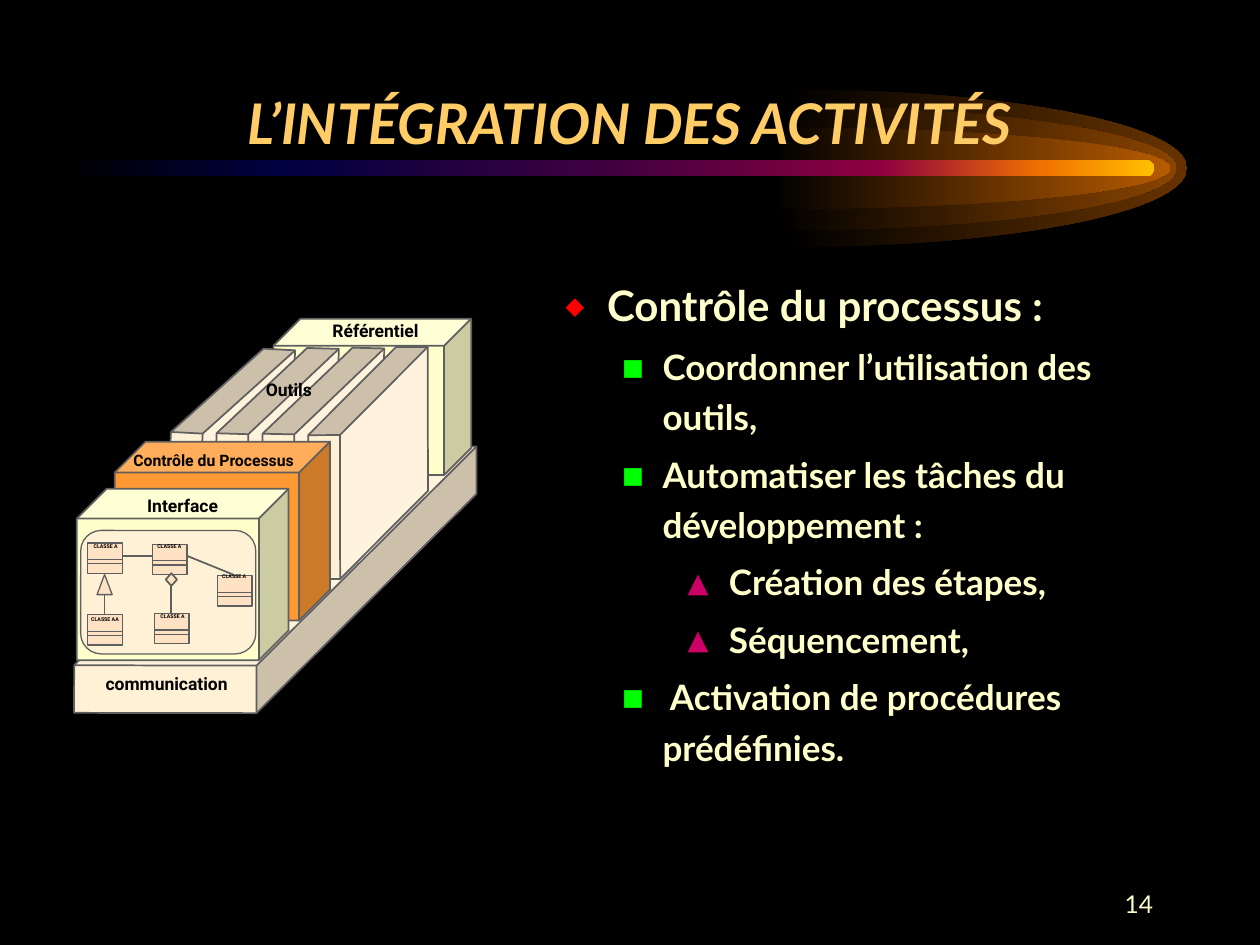
from lxml import etree
from pptx import Presentation
from pptx.dml.color import RGBColor
from pptx.enum import shapes, text
from pptx.oxml import ns
from pptx.util import Emu, Inches, Pt

COLUMNS, ROWS = 100, 75
GREY, CREAM, YELLOW, PEACH = "5F5F5F", "FFF1D5", "FFFFCC", "FFE1C3"
KINDS = shapes.MSO_SHAPE

presentation = Presentation()
presentation.slide_width = Inches(10)
presentation.slide_height = Inches(7.5)
CELL_WIDTH = presentation.slide_width / COLUMNS
CELL_HEIGHT = presentation.slide_height / ROWS
slide = presentation.slides.add_slide(presentation.slide_layouts[6])


def color(value):
    return RGBColor.from_string(value)


def point(x, y):
    return Emu(round(x * CELL_WIDTH)), Emu(round(y * CELL_HEIGHT))


def inside(box, x, y, width, height):
    return box[0] + x, box[1] + y, width, height


def frame(box):
    return *point(*box[:2]), *point(*box[2:])


def add_gradient(shape, stops):
    shape.shadow.inherit = False
    shape.line.fill.background()
    shape.fill.gradient()
    shape.fill.gradient_angle = 0
    stop_list = shape._element.spPr.find(".//" + ns.qn("a:gsLst"))
    for stop in list(stop_list):
        stop_list.remove(stop)
    for position, value in stops:
        stop = etree.SubElement(stop_list, ns.qn("a:gs"), pos=str(position * 1000))
        etree.SubElement(stop, ns.qn("a:srgbClr"), val=value)


def add_shape(kind, box, fill, weight=1.0, adjustment=None, rotation=0, flip=False):
    shape = slide.shapes.add_shape(kind, *frame(box))
    shape.shadow.inherit = False
    shape.fill.solid()
    shape.fill.fore_color.rgb = color(fill)
    shape.line.color.rgb = color(GREY)
    shape.line.width = Pt(weight)
    shape.rotation = rotation
    if adjustment is not None:
        shape.adjustments[0] = adjustment
    if flip:
        shape._element.spPr.find(ns.qn("a:xfrm")).set("flipV", "1")
    return shape


def add_line(box, start, end, weight=0.75):
    first = point(box[0] + start[0], box[1] + start[1])
    last = point(box[0] + end[0], box[1] + end[1])
    line = slide.shapes.add_connector(shapes.MSO_CONNECTOR.STRAIGHT, *first, *last)
    line.line.color.rgb = color(GREY)
    line.line.width = Pt(weight)
    etree.SubElement(line._element.spPr, ns.qn("a:effectLst"))


def write(paragraph, words, size=10, font="Roboto", fill="000000", bold=True,
          italic=False, align=text.PP_ALIGN.LEFT, spacing=1.0):
    paragraph.alignment = align
    paragraph.line_spacing = spacing
    run = paragraph.add_run()
    run.text = words
    run.font.name, run.font.size = font, Pt(size)
    run.font.bold, run.font.italic = bold, italic
    run.font.color.rgb = color(fill)


def add_text(box, words=None, wrap=True, margins=True,
             anchor=text.MSO_ANCHOR.TOP, **style):
    text_frame = slide.shapes.add_textbox(*frame(box)).text_frame
    text_frame.word_wrap = wrap
    text_frame.vertical_anchor = anchor
    if not wrap:
        text_frame.auto_size = text.MSO_AUTO_SIZE.SHAPE_TO_FIT_TEXT
    if not margins:
        text_frame.margin_left = text_frame.margin_right = 0
        text_frame.margin_top = text_frame.margin_bottom = 0
    if words:
        write(text_frame.paragraphs[0], words, **style)
    return text_frame


def add_bullet(paragraph, mark, fill, share, margin, hanging):
    properties = paragraph._p.get_or_add_pPr()
    properties.set("marL", str(Inches(margin)))
    properties.set("indent", str(-Inches(hanging)))
    bullet_color = etree.SubElement(properties, ns.qn("a:buClr"))
    etree.SubElement(bullet_color, ns.qn("a:srgbClr"), val=fill)
    etree.SubElement(properties, ns.qn("a:buSzPct"), val=str(share * 1000))
    etree.SubElement(properties, ns.qn("a:buFont"), typeface="Lato")
    etree.SubElement(properties, ns.qn("a:buChar"), char=mark)


def add_half_ellipse(box, edge):
    left, top, width, height = box
    shares = ((0, 0), (0.55, 0), (1, 0.22), (1, 0.5),
              (1, 0.78), (0.55, 1), (0, 1))
    corners = [point(left + x * width, top + y * height) for x, y in shares]
    builder = slide.shapes.build_freeform(*corners[0])
    builder.add_line_segments(corners[1:], close=True)
    shape = builder.convert_to_shape()
    outline = shape._element.spPr.find(".//" + ns.qn("a:path"))
    segments = outline.findall(ns.qn("a:lnTo"))
    for start in (0, 3):
        curve = etree.Element(ns.qn("a:cubicBezTo"))
        segments[start].addprevious(curve)
        for segment in segments[start:start + 3]:
            curve.append(segment[0])
            outline.remove(segment)
    add_gradient(shape, [(0, "000000"), (100, edge)])


def draw_comet(box):
    for x, y, height, edge in ((57.4, 0, 12.5, "663300"),
                               (56.6, 1.3, 9.9, "894400"),
                               (56.1, 3, 6.5, "B75B00")):
        add_half_ellipse(inside(box, x, y, 31.8, height), edge)
    bar = slide.shapes.add_shape(KINDS.ROUNDED_RECTANGLE,
                                 *frame(inside(box, 0, 5.6, 86.6, 1.3)))
    bar.adjustments[0] = 0.5
    add_gradient(bar, [(0, "000000"), (20, "000040"), (50, "400040"),
                       (75, "8F0040"), (90, "F27300"), (100, "FFBF00")])


def draw_points(box):
    levels = (("◆", "FF0000", 58, 0.38, 0.33),
              ("■", "00FF00", 66, 0.82, 0.32),
              ("▲", "CC0066", 78, 1.28, 0.26))
    points = ((0, "Contrôle du processus : "),
              (1, "Coordonner l’utilisation des outils,"),
              (1, "Automatiser les tâches du développement :"),
              (2, " Création des étapes,"),
              (2, " Séquencement,"),
              (1, " Activation de procédures prédéfinies."))
    text_frame = add_text(box)
    for index, (level, words) in enumerate(points):
        paragraph = text_frame.add_paragraph() if index else text_frame.paragraphs[0]
        size = 20 if level else 24
        write(paragraph, words, size=size, font="Lato", fill=YELLOW, spacing=1.2)
        paragraph.space_before = Pt(size * 0.2)
        paragraph.level = level
        add_bullet(paragraph, *levels[level])


def draw_class(box, name, label_left, label_top):
    add_shape(KINDS.RECTANGLE, box, PEACH, 0.75)
    for y in (1.3, 1.65):
        add_line(box, (0, y), (box[2], y))
    add_text(inside(box, label_left, label_top, 4.2, 1.5), name, wrap=False, size=3)


def draw_class_diagram(box):
    add_shape(KINDS.ROUNDED_RECTANGLE, box, CREAM, 0.75, 0.167)
    for start, end, weight in (((1.9, 5), (1.9, 6.8), 0.75), ((5.7, 2), (3.2, 2), 1),
                               ((7.2, 6.6), (7.2, 3.5), 1), ((8.4, 2), (12.1, 3.5), 1)):
        add_line(box, start, end, weight)
    for x, y, name, label_left, label_top in (
            (0.55, 1, "CLASSE A ", -0.5, -0.45),
            (0.55, 6.7, "CLASSE AA ", -0.7, -0.35),
            (5.7, 1.1, "CLASSE A ", -0.6, -0.6),
            (5.85, 6.6, "CLASSE A ", -0.5, -0.55),
            (10.85, 3.6, "CLASSE A ", -0.6, -0.7)):
        draw_class(inside(box, x, y, 2.75, 2.4), name, label_left, label_top)
    add_shape(KINDS.ISOSCELES_TRIANGLE, inside(box, 1.3, 3.5, 1.2, 1.6), PEACH, 0.75)
    add_shape(KINDS.DIAMOND, inside(box, 6.75, 3.4, 0.9, 1), PEACH)


def draw_architecture(box):
    add_shape(KINDS.CUBE, inside(box, 0, 10.5, 31.9, 21.2), CREAM,
              adjustment=0.822, rotation=0.1)
    add_shape(KINDS.CUBE, inside(box, 15.8, 0.4, 15.7, 12.4), YELLOW, adjustment=0.173)
    for index, rotation in enumerate((273, 271.7, 271.3, 269.9)):
        add_shape(KINDS.CUBE, inside(box, 3.1 + 3.67 * index, 7.1, 18.4, 9.5), CREAM,
                  adjustment=0.735, rotation=rotation, flip=True)
    for x, y, width, height, fill in ((3.2, 10.15, 17.1, 14.2, "FF9933"),
                                      (0.2, 13.9, 16.8, 13.6, YELLOW)):
        add_shape(KINDS.CUBE, inside(box, x, y, width, height), fill, adjustment=0.173)
    for words, x, y, width, height, size in (
            ("Référentiel", 19.5, 0, 9.1, 2.7, 10),
            ("Interface", 4.8, 13.9, 7.7, 2.7, 10),
            ("Contrôle du Processus", 3.7, 10.35, 15.7, 2.5, 9),
            ("Outils", 15.2, 5.2, 3.9, 1.7, 10),
            ("communication", 1.5, 28, 12.2, 2.7, 10)):
        add_text(inside(box, x, y, width, height), words, wrap=False,
                 margins=words != "Outils", size=size)
    draw_class_diagram(inside(box, 0.5, 17.2, 13.9, 9.8))


slide.background.fill.solid()
slide.background.fill.fore_color.rgb = color("000000")
draw_comet((5, 7.1, 89.2, 12.5))
add_text((71.7, 69.2, 20.8, 5), "14", anchor=text.MSO_ANCHOR.MIDDLE, size=14,
         font="Lato", fill=YELLOW, bold=False, align=text.PP_ALIGN.RIGHT)
add_text((7.5, 4.9, 85, 12.5), "L’INTÉGRATION DES ACTIVITÉS", size=32, font="Lato",
         fill="FFCC66", italic=True, align=text.PP_ALIGN.CENTER, spacing=1.3)
draw_points((43.4, 20.9, 49.7, 45))
draw_architecture((5.9, 24.9, 31.9, 31.7))
presentation.save("out.pptx")
